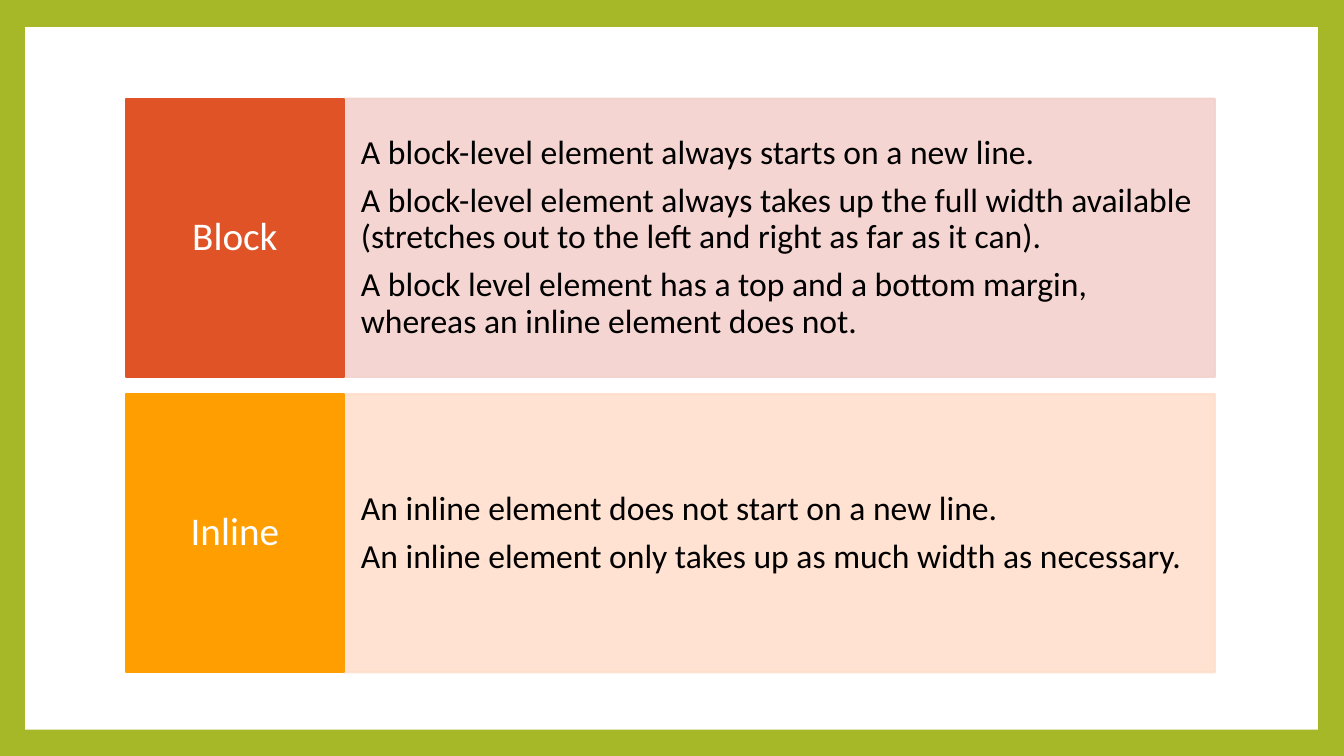
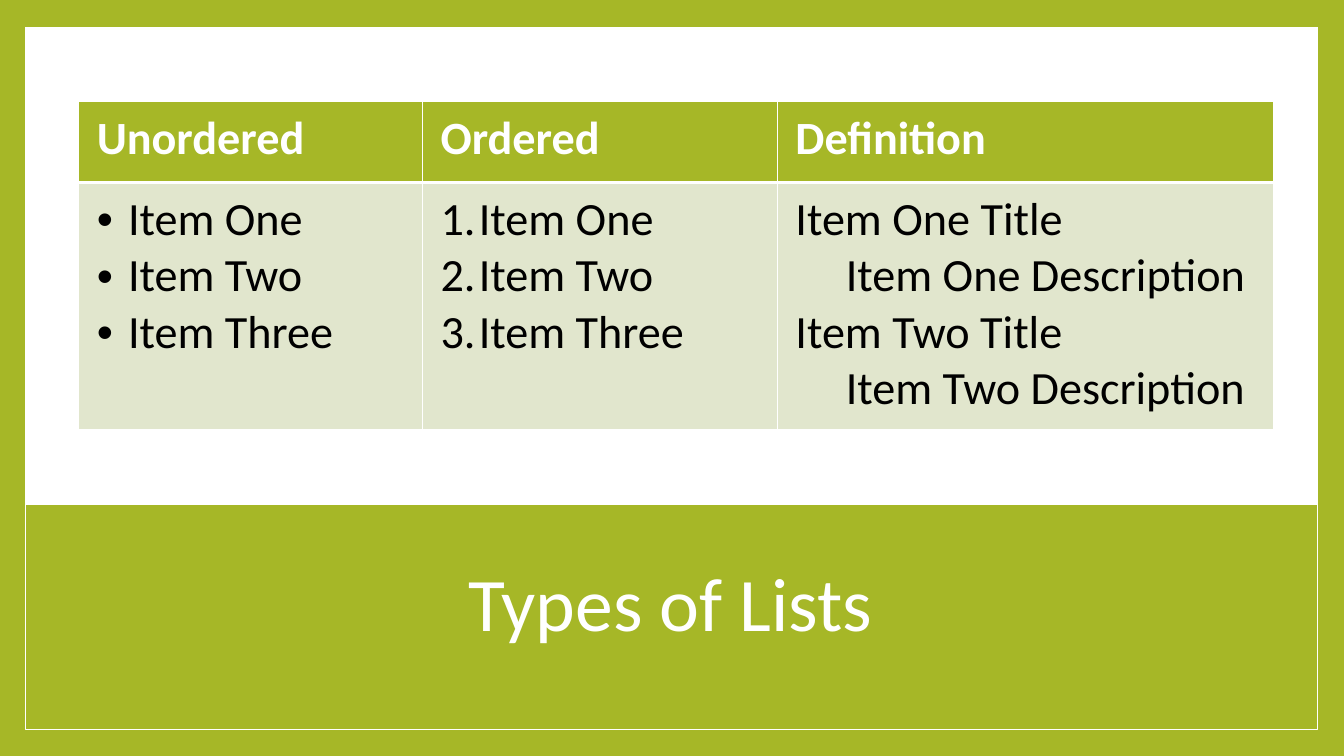
from lxml import etree
from pptx import Presentation
from pptx.dml.color import RGBColor
from pptx.enum.shapes import MSO_SHAPE
from pptx.enum.text import MSO_ANCHOR, PP_ALIGN
from pptx.oxml.ns import qn
from pptx.util import Inches, Pt

RECT = MSO_SHAPE.RECTANGLE
MIDDLE = MSO_ANCHOR.MIDDLE
CENTER, LEFT = PP_ALIGN.CENTER, PP_ALIGN.LEFT

# Content
ELEMENTS = [
    ("Block", "DF5327", "F3D1CD", [
        "A block-level element always starts on a new line.",
        "A block-level element always takes up the full width available "
        "(stretches out to the left and right as far as it can).",
        "A block level element has a top and a bottom margin, "
        "whereas an inline element does not.",
    ]),
    ("Inline", "FE9E00", "FFDFCC", [
        "An inline element does not start on a new line.",
        "An inline element only takes up as much width as necessary.",
    ]),
]
LIST_TITLE = "Types of Lists"
ITEMS = ["Item One", "Item Two", "Item Three"]
# Heading, column width, and (text, list style) for each line
LISTS = [
    ("Unordered", 3.41, [(item, "bullet") for item in ITEMS]),
    ("Ordered", 3.52, [(item, "number") for item in ITEMS]),
    ("Definition", 4.92, [
        ("Item One Title", "term"), ("Item One Description", "description"),
        ("Item Two Title", "term"), ("Item Two Description", "description"),
    ]),
]

# Shared look
GREEN, PALE_GREEN, WHITE, BLACK = "A6B727", "E1E6CD", "FFFFFF", "000000"
FONT = "Calibri"
PANEL = (0.25, 0.27, 12.82, 6.97)
TITLE_BAND = (0.25, 5, 12.82, 2.24)
TITLE_BOX = (1.25, 5.28, 10.8, 1.48)
TITLE_TEXT = {"size": Pt(54), "color": WHITE}
LABEL_TEXT = {"size": Pt(28), "color": WHITE}
DETAIL_TEXT = {"size": Pt(24), "color": BLACK}
HEADING_TEXT = {"size": Pt(33), "color": WHITE, "bold": True}
ITEM_TEXT = {"size": Pt(33), "color": BLACK, "bold": False}

# Left margin, first-line indent, bullet tag and its attributes
LIST_STYLES = {
    "bullet": (0.31, -0.31, "a:buChar", {"char": "•"}),
    "number": (0.38, -0.38, "a:buAutoNum", {"type": "arabicPeriod"}),
    "term": (0, 0, "a:buNone", {}),
    "description": (0.5, 0, "a:buNone", {}),
}

# Element rows
ROW_LEFT, ROW_TOP, ROW_H, ROW_GAP = 1.25, 0.98, 2.76, 0.17
LABEL_W, DETAIL_W = 2.16, 8.64

# Table
TABLE_LEFT, TABLE_TOP = 0.78, 1.01
HEADING_H, BODY_H = 0.8, 2.45
THIN, THICK = 1, 3


def rgb(hex_color):
    """Turn a hex string into a colour."""
    return RGBColor.from_string(hex_color)


def set_attrs(target, values):
    """Set every attribute named in a dict."""
    for name, value in values.items():
        setattr(target, name, value)


def write(tf, lines, text, **paragraph):
    """Write one formatted paragraph per line and return the paragraphs."""
    tf.word_wrap = True
    for i, line in enumerate(lines):
        p = tf.paragraphs[0] if i == 0 else tf.add_paragraph()
        set_attrs(p, paragraph)
        r = p.add_run()
        r.text = line
        set_attrs(r.font, {"name": FONT, **{k: v for k, v in text.items() if k != "color"}})
        r.font.color.rgb = rgb(text["color"])
    return tf.paragraphs


def add_rect(s, box, fill, line=None, width=1, alpha=None):
    """Add a flat rectangle, with an optional outline and opacity percentage."""
    sp = s.shapes.add_shape(RECT, *map(Inches, box))
    sp.shadow.inherit = False
    sp.fill.solid()
    sp.fill.fore_color.rgb = rgb(fill)
    if line:
        sp.line.color.rgb = rgb(line)
        sp.line.width = Pt(width)
    else:
        sp.line.fill.background()
    if alpha:
        for color in sp.element.spPr.iter(qn("a:srgbClr")):
            etree.SubElement(color, qn("a:alpha"), val=str(alpha * 1000))
    return sp


def add_slide(prs, layout):
    """Add a slide with the white panel inside the green frame."""
    s = prs.slides.add_slide(prs.slide_layouts.get_by_name(layout))
    add_rect(s, PANEL, WHITE)
    return s


def add_title(s, title):
    """Place the title in front of its green band."""
    add_rect(s, TITLE_BAND, GREEN, WHITE)
    sp = s.shapes.title
    left, top, width, height = map(Inches, TITLE_BOX)
    set_attrs(sp, {"left": left, "top": top, "width": width, "height": height})
    sp.text_frame.vertical_anchor = MIDDLE
    write(sp.text_frame, [title], TITLE_TEXT, alignment=CENTER, line_spacing=0.9)
    sp.element.getparent().append(sp.element)


def add_element_part(s, box, fill, lines, text, align, inset, alpha=None):
    """Add one rectangle of an element row with its text."""
    sp = add_rect(s, box, fill, fill, 1.5, alpha)
    tf = sp.text_frame
    set_attrs(tf, {"vertical_anchor": MIDDLE, "margin_left": Inches(inset),
                   "margin_right": Inches(inset)})
    paragraphs = write(tf, lines, text, alignment=align, line_spacing=0.9)
    for p in paragraphs[:-1]:
        p.space_after = Pt(8.4)


def set_list_style(p, style):
    """Give a paragraph its indents and its bullet or number."""
    margin, indent, tag, attrs = LIST_STYLES[style]
    pPr = p._p.get_or_add_pPr()
    pPr.set("marL", str(Inches(margin)))
    pPr.set("indent", str(Inches(indent)))
    if tag == "a:buChar":
        etree.SubElement(pPr, qn("a:buFont"), typeface="Arial")
    etree.SubElement(pPr, qn(tag), attrs)


def format_cell(cell, fill, top, bottom):
    """Set a cell's white borders, fill and margins."""
    tcPr = cell._tc.get_or_add_tcPr()
    for side, width in (("L", THIN), ("R", THIN), ("T", top), ("B", bottom)):
        ln = etree.SubElement(tcPr, qn(f"a:ln{side}"), w=str(Pt(width)))
        solid = etree.SubElement(ln, qn("a:solidFill"))
        etree.SubElement(solid, qn("a:srgbClr"), val=WHITE)
    cell.fill.solid()
    cell.fill.fore_color.rgb = rgb(fill)
    set_attrs(cell, {"margin_left": Inches(0.18), "margin_right": Inches(0.18),
                     "margin_top": Inches(0.09), "margin_bottom": Inches(0.09)})


def add_list_table(s):
    """Add the table with one column per list type."""
    box = (TABLE_LEFT, TABLE_TOP, sum(width for _, width, _ in LISTS), HEADING_H + BODY_H)
    table = s.shapes.add_table(2, len(LISTS), *map(Inches, box)).table
    table.horz_banding = False
    for row, height in zip(table.rows, (HEADING_H, BODY_H)):
        row.height = Inches(height)
    for col, (heading, width, items) in enumerate(LISTS):
        table.columns[col].width = Inches(width)
        head, body = table.cell(0, col), table.cell(1, col)
        format_cell(head, GREEN, THIN, THICK)
        format_cell(body, PALE_GREEN, THICK, THIN)
        write(head.text_frame, [heading], HEADING_TEXT)
        paragraphs = write(body.text_frame, [line for line, _ in items], ITEM_TEXT)
        for p, (_, style) in zip(paragraphs, items):
            p.level = int(style == "description")
            set_list_style(p, style)


def build_elements_slide(prs):
    """Build the block and inline comparison."""
    s = add_slide(prs, "Blank")
    for i, (label, color, tint, details) in enumerate(ELEMENTS):
        top = ROW_TOP + i * (ROW_H + ROW_GAP)
        add_element_part(s, (ROW_LEFT + LABEL_W, top, DETAIL_W, ROW_H), tint,
                         details, DETAIL_TEXT, LEFT, 0.17, alpha=90)
        add_element_part(s, (ROW_LEFT, top, LABEL_W, ROW_H), color,
                         [label], LABEL_TEXT, CENTER, 0.11)


def build_lists_slide(prs):
    """Build the table of list types above its title."""
    s = add_slide(prs, "Title Only")
    add_title(s, LIST_TITLE)
    add_list_table(s)


def main():
    """Build and save the presentation."""
    prs = Presentation()
    prs.slide_width, prs.slide_height = Inches(13.33), Inches(7.5)
    background = prs.slide_master.background.fill
    background.solid()
    background.fore_color.rgb = rgb(GREEN)
    build_elements_slide(prs)
    build_lists_slide(prs)
    prs.save("out.pptx")


main()
